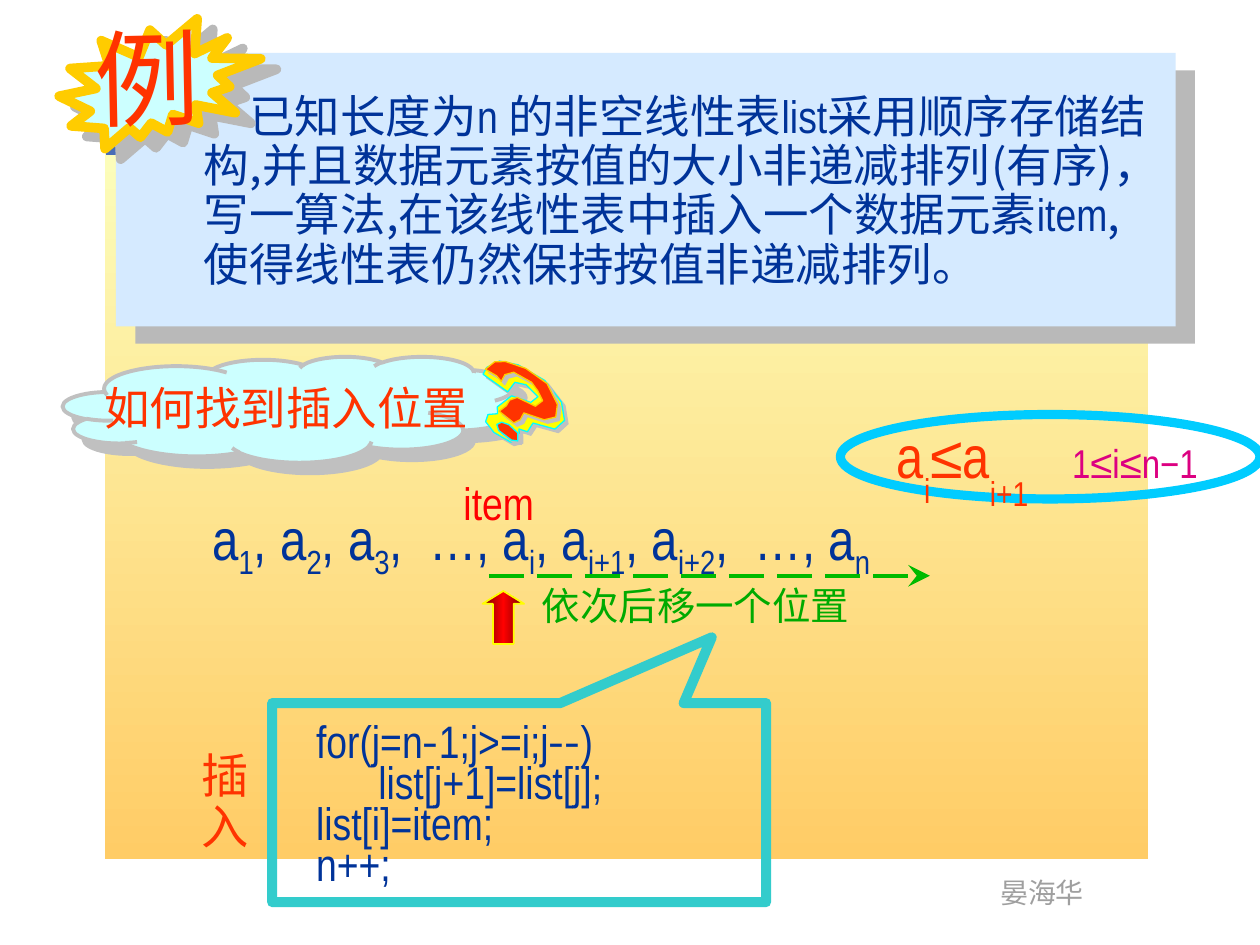
from lxml.etree import SubElement
from pptx import Presentation
from pptx.dml.color import RGBColor as Rgb
from pptx.enum.dml import MSO_LINE_DASH_STYLE as Dash
from pptx.enum.shapes import MSO_CONNECTOR as Link, MSO_SHAPE as Kind
from pptx.enum.text import MSO_AUTO_SIZE as Fit, PP_ALIGN as Align
from pptx.oxml.ns import qn
from pptx.util import Inches, Pt

COLORS = {
    "navy": "003399", "orange": "FF3300", "red": "FF0000", "maroon": "760000",
    "yellow": "FFFF00", "gold": "FFCC00", "sand": "FFCC66", "cream": "FCFEBC",
    "dusk": "496DB6", "sky": "6699FF", "ice": "CCFFFF", "pale": "D5EAFF",
    "cyan": "00FFFF", "ring": "00CCFF", "teal": "33CCCC", "magenta": "DC0081",
    "leaf": "00BA00", "green": "00AA00", "silver": "C0C0C0", "gray": "B9B9B9",
    "footer": "9F9F9F", "black": "000000",
}
NARROW, HAN, HAN_JP = "Arial Narrow", "Noto Sans CJK SC", "Noto Sans CJK JP"
CELL = Inches(0.1)
HUNDREDTH = 9144
MARK_TURN = 18.7

MARK_BACK = [
    (403, 306), (412, 305), (424, 311), (420, 317), (404, 317), (396, 329),
    (398, 334), (391, 337), (391, 343), (400, 349), (415, 352), (421, 348),
    (418, 340), (425, 340), (427, 332), (445, 331), (450, 322), (443, 309),
    (425, 297), (401, 292), (386, 294), (378, 302), (377, 308), (400, 315)]
MARK_HOOK = [
    (380, 303), (390, 305), (395, 308), (396, 302), (402, 298), (418, 301),
    (425, 306), (431, 312), (427, 318), (411, 316), (406, 320), (405, 325),
    (401, 331), (415, 336), (419, 332), (420, 326), (430, 326), (437, 326),
    (445, 321), (443, 311), (430, 298), (410, 292), (393, 292), (385, 295)]
MARK_DOT = [
    (402, 337), (396, 337), (393, 340), (396, 344), (408, 348), (413, 347),
    (411, 341)]


def rgb(name):
    return Rgb.from_string(COLORS[name])


def cells(*lengths):
    return [round(length * CELL) for length in lengths]


def add_shadow(effects, color, distance, angle):
    cast = SubElement(effects, qn("a:outerShdw"), dist=str(Pt(distance)),
                      dir=str(angle * 60000), algn="ctr", rotWithShape="0")
    SubElement(cast, qn("a:srgbClr"), val=COLORS[color])


def style(shape, fill=None, line=None, width=1, shadow=None):
    if fill:
        shape.fill.solid()
        shape.fill.fore_color.rgb = rgb(fill)
    else:
        shape.fill.background()
    if line:
        shape.line.color.rgb = rgb(line)
        shape.line.width = Pt(width)
    else:
        shape.line.fill.background()
    shape.shadow.inherit = False
    if shadow:
        add_shadow(shape._element.spPr.find(qn("a:effectLst")), *shadow)
    return shape


def add_preset(slide, kind, box, adjust=(), **look):
    shape = slide.shapes.add_shape(kind, *cells(*box))
    for index, value in enumerate(adjust):
        shape.adjustments[index] = value
    return style(shape, **look)


def blend(shape, names, angle):
    shape.fill.gradient()
    shape.fill.gradient_angle = angle
    stops = shape._element.spPr.find(qn("a:gradFill")).find(qn("a:gsLst"))
    for stop in list(stops):
        stops.remove(stop)
    for index, name in enumerate(names):
        stop = SubElement(stops, qn("a:gs"),
                          pos=str(100000 * index // (len(names) - 1)))
        SubElement(stop, qn("a:srgbClr"), val=COLORS[name])


def add_outline(slide, points, fill, line):
    builder = slide.shapes.build_freeform(*points[0], scale=HUNDREDTH)
    builder.add_line_segments(points[1:], close=True)
    shape = style(builder.convert_to_shape(), fill, line, 0.75,
                  ("silver", 2.8, 45))
    shape.rotation = MARK_TURN


def add_run(paragraph, text, size, color, font, base=0, shadow=None):
    run = paragraph.add_run()
    run.text = text
    run.font.size = Pt(size)
    run.font.color.rgb = rgb(color)
    props = run.font._element
    if base:
        props.set("baseline", str(base * 1000))
    if shadow:
        add_shadow(SubElement(props, qn("a:effectLst")), shadow, 1.5, 45)
    run.font.name = font
    SubElement(props, qn("a:ea"), typeface=HAN if font == NARROW else font)


def add_text(slide, box, paragraphs, size, color, font=NARROW, wrap=True,
             align=Align.LEFT, spacing=1.0, shadow=None):
    label = slide.shapes.add_textbox(*cells(*box))
    frame = label.text_frame
    frame.word_wrap = wrap
    frame.auto_size = Fit.SHAPE_TO_FIT_TEXT
    for index, runs in enumerate(paragraphs):
        paragraph = frame.add_paragraph() if index else frame.paragraphs[0]
        paragraph.alignment = align
        paragraph.line_spacing = spacing
        for part in runs:
            text, options = part if isinstance(part, tuple) else (part, {})
            add_run(paragraph, text, size, color, **{
                "font": font, "shadow": shadow, **options})
    return label


def sub(text, base=-25):
    return text, {"base": base}


def latin(text):
    return text, {"font": NARROW}


def han(text):
    return text, {"font": HAN}


def add_backdrop(slide):
    panel = add_preset(slide, Kind.RECTANGLE, (8.3, 11, 82.8, 57.2))
    blend(panel, ["cream", "sand"], 270)
    band = add_preset(slide, Kind.RECTANGLE, (8.4, 10.8, 82.7, 1.5))
    blend(band, ["dusk", "sky"], 0)
    add_text(slide, (78.4, 69, 8.7, 3.7), [["晏海华"]], 16, "footer", wrap=False)


def add_sequence(slide):
    terms = []
    for lead, index in [("a", "1"), (", a", "2"), (", a", "3"), (",  …, a", "i"),
                        (", a", "i+1"), (", a", "i+2"), (",  …, a", "n")]:
        terms += [lead, sub(index)]
    add_text(slide, (9.2, 39.4, 67.5, 6.5), [terms], 33, "navy",
             align=Align.CENTER)
    pointer = add_preset(slide, Kind.UP_ARROW, (38.3, 46.9, 3.3, 4.2),
                         (0.5, 0.31), line="yellow")
    blend(pointer, ["maroon", "red", "maroon"], 0)
    add_text(slide, (35.8, 37.2, 10.8, 5.3), [["item"]], 26, "red",
             shadow="black")

    shift = slide.shapes.add_connector(
        Link.STRAIGHT, *cells(38.8, 45.7, 73.8, 45.7))
    shift.line.color.rgb = rgb("leaf")
    shift.line.width = Pt(2.5)
    shift.line.dash_style = Dash.LONG_DASH
    SubElement(shift.line._get_or_add_ln(), qn("a:tailEnd"), type="stealth",
               w="lg", len="lg")
    SubElement(shift._element.spPr, qn("a:effectLst"))
    add_text(slide, (41.9, 45.7, 26.6, 4.7), [["依次后移一个位置"]], 22, "green",
             wrap=False, align=Align.CENTER)


def add_condition(slide):
    add_preset(slide, Kind.OVAL, (66.7, 32.9, 33.3, 6.7), line="ring", width=5.25)
    add_text(slide, (70.2, 32.8, 14.5, 6.7),
             [["a", sub("i", -42), "≤a", sub("i+1", -46)]], 34, "orange",
             wrap=False, shadow="teal")
    add_text(slide, (84.1, 34.3, 13.9, 4.8), [["1≤i≤n−1"]], 23, "magenta")


def add_code(slide):
    add_preset(slide, Kind.RECTANGULAR_CALLOUT, (21.6, 55.8, 39.2, 15.8),
               (0.39, -0.83), line="teal", width=5.75)
    code = [["for(j=n", han("-"), "1;j>=i;j", han("--"), ")"],
            ["      list[j+1]=list[j];"], ["list[i]=item;"], ["n++;"]]
    add_text(slide, (24.1, 57.1, 35.8, 14.1), code, 26, "navy", spacing=0.75)
    add_text(slide, (15, 59.2, 5.8, 9.1), [["插"], ["入"]], 27, "orange", HAN,
             wrap=False, spacing=0.9, shadow="black")


def add_question(slide):
    add_preset(slide, Kind.CLOUD, (5, 28.3, 36.7, 8.4), fill="ice",
               line="silver", width=2.25, shadow=("silver", 8.5, 45))
    add_text(slide, (7.3, 29.7, 34.2, 5.3), [["如何找到插入位置"]], 26, "orange",
             HAN, shadow="black")
    add_outline(slide, MARK_BACK, "yellow", "cyan")
    add_outline(slide, MARK_HOOK, "orange", "gold")
    add_outline(slide, MARK_DOT, "orange", "cyan")


def add_problem(slide):
    add_preset(slide, Kind.RECTANGLE, (9.2, 4.2, 84.1, 21.7), fill="pale",
               shadow=("gray", 14.9, 42))
    statement = [
        "已知长度为", latin("n "), "的非空线性表", latin("list"),
        "采用顺序存储结构,并且数据元素按值的大小非递减排列(有序)，"
        "写一算法,在该线性表中插入一个数据元素",
        latin("item"), ",使得线性表仍然保持按值非递减排列。"]
    problem = add_text(slide, (15.2, 7, 78.2, 16.8), [statement], 26, "navy",
                       HAN, spacing=0.9)
    first_line = problem.text_frame.paragraphs[0]._p.get_or_add_pPr()
    first_line.set("indent", str(Inches(0.36)))
    add_preset(slide, Kind.EXPLOSION2, (4.7, 1.5, 16, 10.3), fill="ice",
               line="gold", width=5.5, shadow=("gray", 10.8, 34))
    badge = add_text(slide, (6.5, 0.5, 18.3, 11), [["例"]], 60, "orange", HAN_JP,
                     shadow="silver")
    badge.rotation = 358.9


def main():
    deck = Presentation()
    deck.slide_width, deck.slide_height = cells(100, 75)
    slide = deck.slides.add_slide(deck.slide_layouts[6])
    for add_part in (add_backdrop, add_sequence, add_condition, add_code,
                     add_question, add_problem):
        add_part(slide)
    deck.save("out.pptx")


if __name__ == "__main__":
    main()
